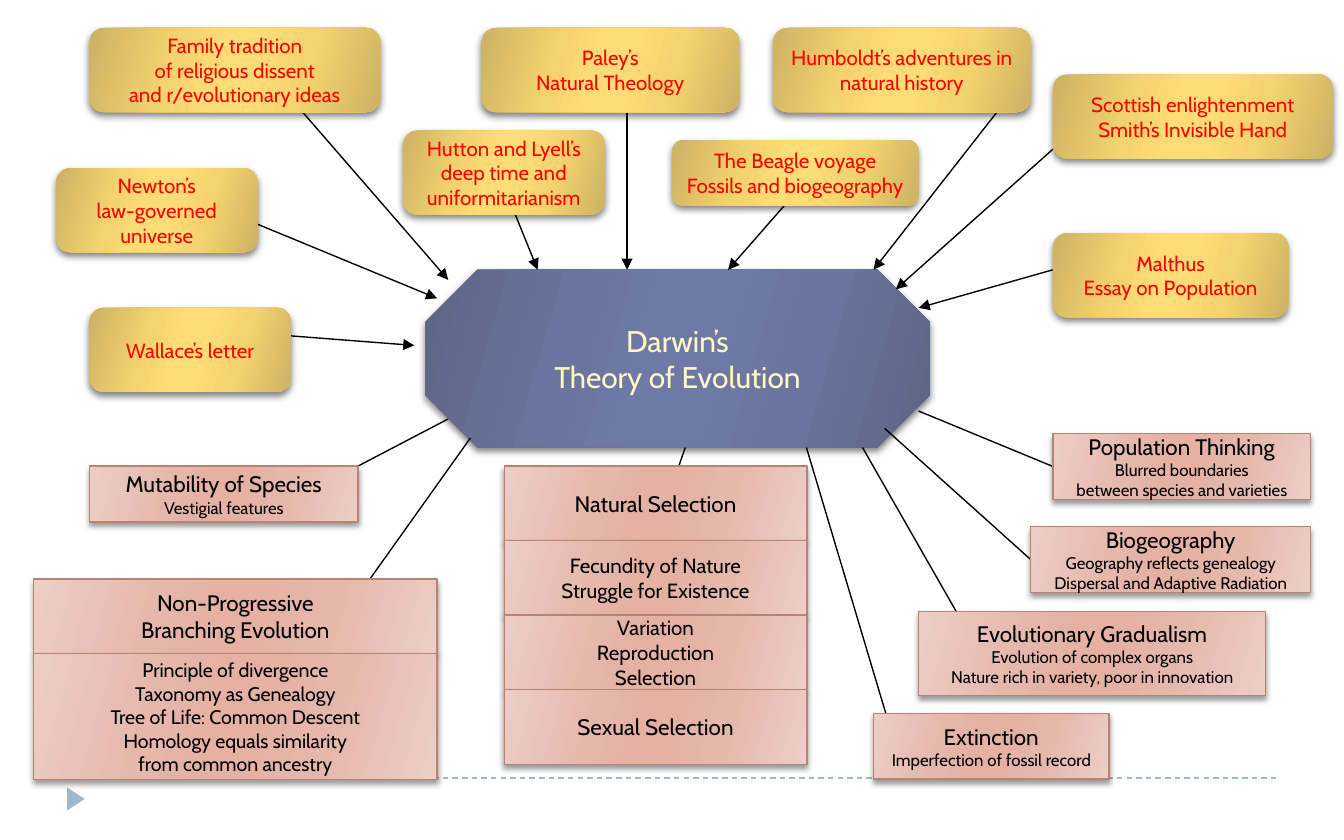
from lxml.etree import SubElement
from pptx import Presentation
from pptx.dml.color import RGBColor
from pptx.enum.dml import MSO_LINE
from pptx.enum.shapes import MSO_CONNECTOR, MSO_SHAPE
from pptx.enum.text import MSO_ANCHOR, PP_ALIGN
from pptx.oxml.ns import qn
from pptx.util import Cm, Pt

STOPS = (0, 30, 45, 55, 73, 100)
LEFT_SIDE = 1
CARD_STYLES = {
    "theory": {"preset": MSO_SHAPE.OCTAGON, "shades": ("5D6585", "6B759E", "6E79A7"),
               "line": None, "text": "FFF8C2", "shadow": (50, 4)},
    "influence": {"preset": MSO_SHAPE.ROUNDED_RECTANGLE, "shades": ("CDB264", "F5D36E", "FFDC75"),
                  "line": None, "text": "FF0000", "shadow": (50, 4)},
    "consequence": {"preset": MSO_SHAPE.RECTANGLE, "shades": ("ECCEC6", "E6B8AC", "E4B1A3"),
                    "line": "B88472", "text": "000000", "shadow": (40, 3)},
}
FRAME_FORMAT = {"word_wrap": False, "vertical_anchor": MSO_ANCHOR.MIDDLE, "margin_left": 0,
                "margin_right": 0, "margin_top": 0, "margin_bottom": 0}

INFLUENCES = [
    ((0, 2.65, 3.81, 1.59), ["Newton’s", "law-governed", "universe"], (3.81, 3.71, 7.2, 5.11)),
    ((6.56, 1.94, 3.81, 1.59), ["Hutton and Lyell’s", "deep time and", "uniformitarianism"],
     (8.68, 3.53, 9.1, 4.57)),
    ((11.64, 2.12, 4.66, 1.24), ["The Beagle voyage", "Fossils and biogeography"],
     (13.76, 3.36, 12.7, 4.57)),
    ((0.63, 0, 5.5, 1.59),
     ["Family tradition", "of religious dissent", "and r/evolutionary ideas"],
     (4.66, 1.59, 7.41, 4.76)),
    ((8.04, 0, 4.87, 1.59), ["Paley’s", "Natural Theology"], (10.79, 1.59, 10.79, 4.57)),
    ((13.55, 0, 4.87, 1.59), ["Humboldt’s adventures in", "natural history"],
     (17.78, 1.59, 15.45, 4.57)),
    ((18.84, 3.88, 4.45, 1.59), ["Malthus", "Essay on Population"], (18.84, 4.57, 16.3, 5.29)),
    ((18.84, 0.88, 5.29, 1.59), ["Scottish enlightenment", "Smith’s Invisible Hand"],
     (18.84, 2.29, 15.87, 4.94)),
    ((0.63, 5.29, 3.81, 1.59), ["Wallace’s letter"], (4.44, 5.82, 6.77, 6)),
]
CONSEQUENCES = [
    ((1.05, 1.04, 5.08, 1.06), ["Mutability of Species", "Vestigial features"], (12, 9),
     (7.83, 0.15, 6.13, 1.04), False),
    ((0, 3.18, 7.62, 1.41), ["Non-Progressive", "Branching Evolution"], (12, 12),
     (8.25, 0.51, 6.35, 3.18), False),
    ((0, 4.59, 7.62, 2.38),
     ["Principle of divergence", "Taxonomy as Genealogy", "Tree of Life: Common Descent",
      "Homology equals similarity", "from common ancestry"], (10.5, 10.5), None, False),
    ((16.72, 3.79, 6.56, 1.59),
     ["Evolutionary Gradualism", "Evolution of complex organs",
      "Nature rich in variety, poor in innovation"], (12, 9), (15.66, 0.69, 17.78, 4.4), False),
    ((19.26, 0.43, 4.87, 1.24),
     ["Population Thinking", "Blurred boundaries", "between species and varieties"], (12, 9),
     (16.72, 0, 19.26, 1.05), True),
    ((15.87, 5.72, 4.45, 1.24), ["Extinction", "Imperfection of fossil record"], (12, 9),
     (14.6, 0.69, 16.29, 6.35), False),
    ((18.84, 2.19, 5.29, 1.24),
     ["Biogeography", "Geography reflects genealogy", "Dispersal and Adaptive Radiation"],
     (12, 9), (16.08, 0.33, 18.84, 2.81), True),
]
SELECTION_STEPS = [
    (["Natural Selection"], 12),
    (["Fecundity of Nature", "Struggle for Existence"], 11),
    (["Variation", "Reproduction", "Selection"], 11),
    (["Sexual Selection"], 12),
]


def color(hex_string):
    """Return the colour for a hex string."""
    return RGBColor.from_string(hex_string)


def within(region, box):
    """Move a box from region coordinates to slide coordinates."""
    return (region[0] + box[0], region[1] + box[1], *box[2:])


def fill_gradient(shape, shades):
    """Fill a shape with a slanted gradient that mirrors three shades."""
    shape.fill.gradient()
    shape.fill.gradient_angle = 344
    stop_list = shape._element.spPr.find(qn("a:gradFill")).find(qn("a:gsLst"))
    for stop in list(stop_list):
        stop_list.remove(stop)
    for position, shade in zip(STOPS, shades + shades[::-1]):
        stop = SubElement(stop_list, qn("a:gs"), pos=str(position * 1000))
        SubElement(stop, qn("a:srgbClr"), val=shade)


def add_shadow(shape, opacity, blur):
    """Give a shape a soft shadow straight below it."""
    shape.shadow.inherit = False
    effects = shape._element.spPr.find(qn("a:effectLst"))
    shadow = SubElement(effects, qn("a:outerShdw"), blurRad=str(Pt(blur)), dist=str(Pt(2)),
                        dir="5400000", rotWithShape="0")
    shade = SubElement(shadow, qn("a:srgbClr"), val="000000")
    SubElement(shade, qn("a:alpha"), val=str(opacity * 1000))


def add_card(slide, box, lines, style_name, sizes):
    """Add a card with a heading size and a size for the lines below."""
    style = CARD_STYLES[style_name]
    shape = slide.shapes.add_shape(style["preset"], *map(Cm, box))
    fill_gradient(shape, style["shades"])
    if style["line"]:
        shape.line.color.rgb = color(style["line"])
        shape.line.width = Pt(0.75)
    else:
        shape.line.fill.background()
    add_shadow(shape, *style["shadow"])
    frame = shape.text_frame
    for name, value in FRAME_FORMAT.items():
        setattr(frame, name, value)
    for index, line in enumerate(lines):
        paragraph = frame.paragraphs[0] if index == 0 else frame.add_paragraph()
        paragraph.alignment = PP_ALIGN.CENTER
        run = paragraph.add_run()
        run.text = line
        for name, value in {"name": "Cabin", "size": Pt(sizes[min(index, 1)])}.items():
            setattr(run.font, name, value)
        run.font.color.rgb = color(style["text"])
    return shape


def add_link(slide, region, ends, line_color="000000", arrow=False):
    """Add a straight connector between two points of a region."""
    points = within(region, ends[:2]) + within(region, ends[2:])
    connector = slide.shapes.add_connector(MSO_CONNECTOR.STRAIGHT, *map(Cm, points))
    connector.line.color.rgb = color(line_color)
    connector.line.width = Pt(0.75)
    SubElement(connector._element.spPr, qn("a:effectLst"))
    if arrow:
        SubElement(connector.line._get_or_add_ln(), qn("a:tailEnd"), type="triangle")
    return connector


def add_footer(slide, region):
    """Add the dashed rule and the marker at the foot of the slide."""
    rule = add_link(slide, region, (0, 0, region[2], 0), "9FB8CD")
    rule.line.dash_style = MSO_LINE.DASH
    box = within(region, (-0.05, 0.23, 0.43, 0.33))
    marker = slide.shapes.add_shape(MSO_SHAPE.ISOSCELES_TRIANGLE, *map(Cm, box))
    marker.rotation = 90
    marker.shadow.inherit = False
    marker.fill.solid()
    marker.fill.fore_color.rgb = color("9FB8CD")
    marker.line.fill.background()


def add_influences(slide, region):
    """Add the influences and their arrows to the theory."""
    for box, lines, ends in INFLUENCES:
        add_link(slide, region, ends, arrow=True)
        add_card(slide, within(region, box), lines, "influence", (11, 11))


def add_consequences(slide, region):
    """Add the consequences and their lines from the theory."""
    for box, lines, sizes, ends, joined in CONSEQUENCES:
        link = add_link(slide, region, ends) if ends else None
        card = add_card(slide, within(region, box), lines, "consequence", sizes)
        if joined:
            link.end_connect(card, LEFT_SIDE)


def add_selection(slide, region):
    """Add the stacked steps of natural selection below their line."""
    left, top, width, height = region
    add_link(slide, region, (3.42, -0.35, 3.3, 0))
    step = height / len(SELECTION_STEPS)
    for index, (lines, size) in enumerate(SELECTION_STEPS):
        box = (left, top + index * step, width, step)
        add_card(slide, box, lines, "consequence", (size, size))


def main():
    """Build the slide and save it."""
    presentation = Presentation()
    presentation.slide_width, presentation.slide_height = Cm(25.4), Cm(15.88)
    slide = presentation.slides.add_slide(presentation.slide_layouts[6])
    add_footer(slide, (1.27, 14.71, 22.86, 0.6))
    add_card(slide, (8.04, 5.1, 9.53, 3.36), ["Darwin’s", "Theory of Evolution"], "theory", (16, 16))
    add_influences(slide, (1.06, 0.53, 24.13, 6.88))
    add_selection(slide, (9.53, 8.81, 5.72, 5.64))
    add_consequences(slide, (0.64, 7.77, 24.13, 6.97))
    presentation.save("out.pptx")


if __name__ == "__main__":
    main()
